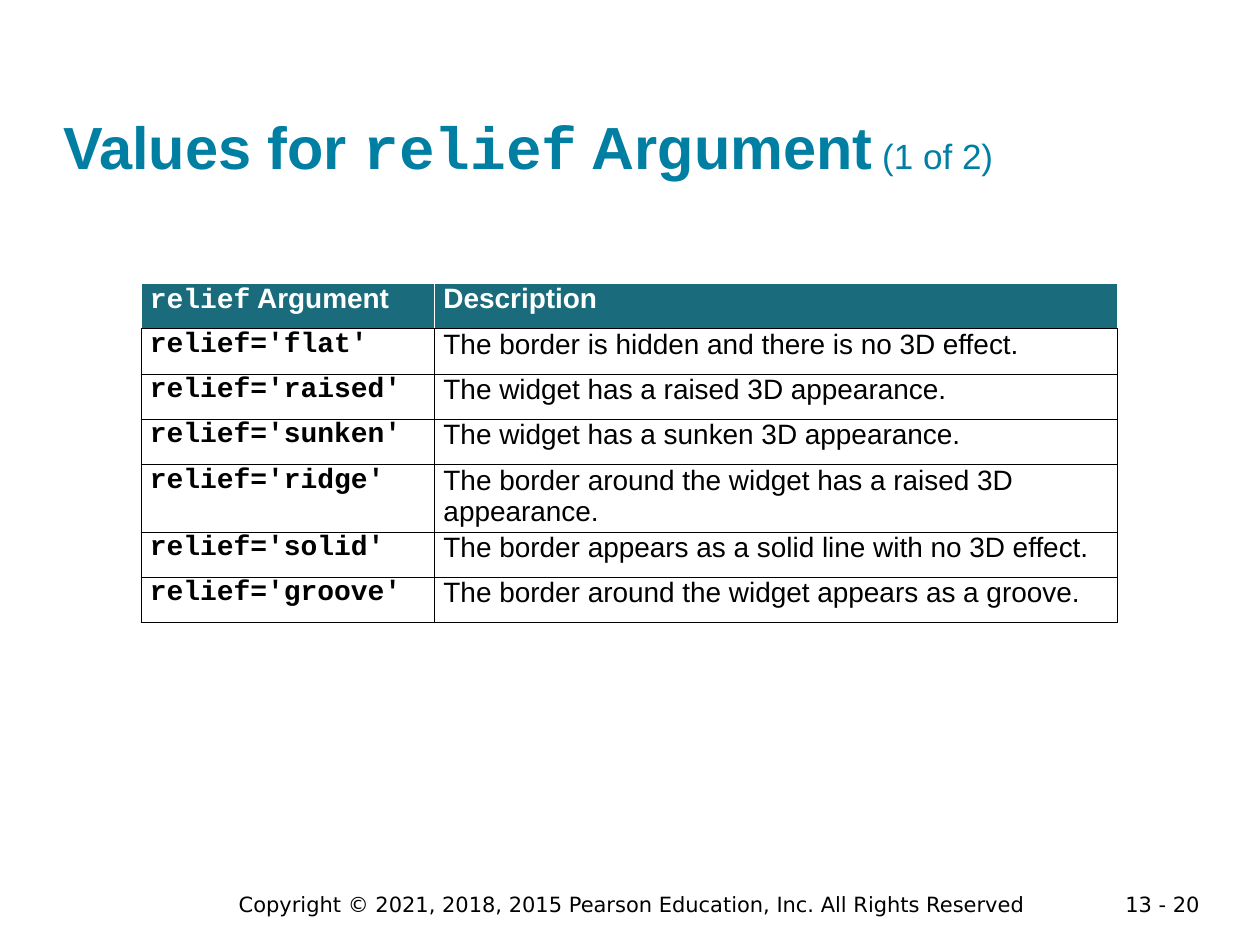
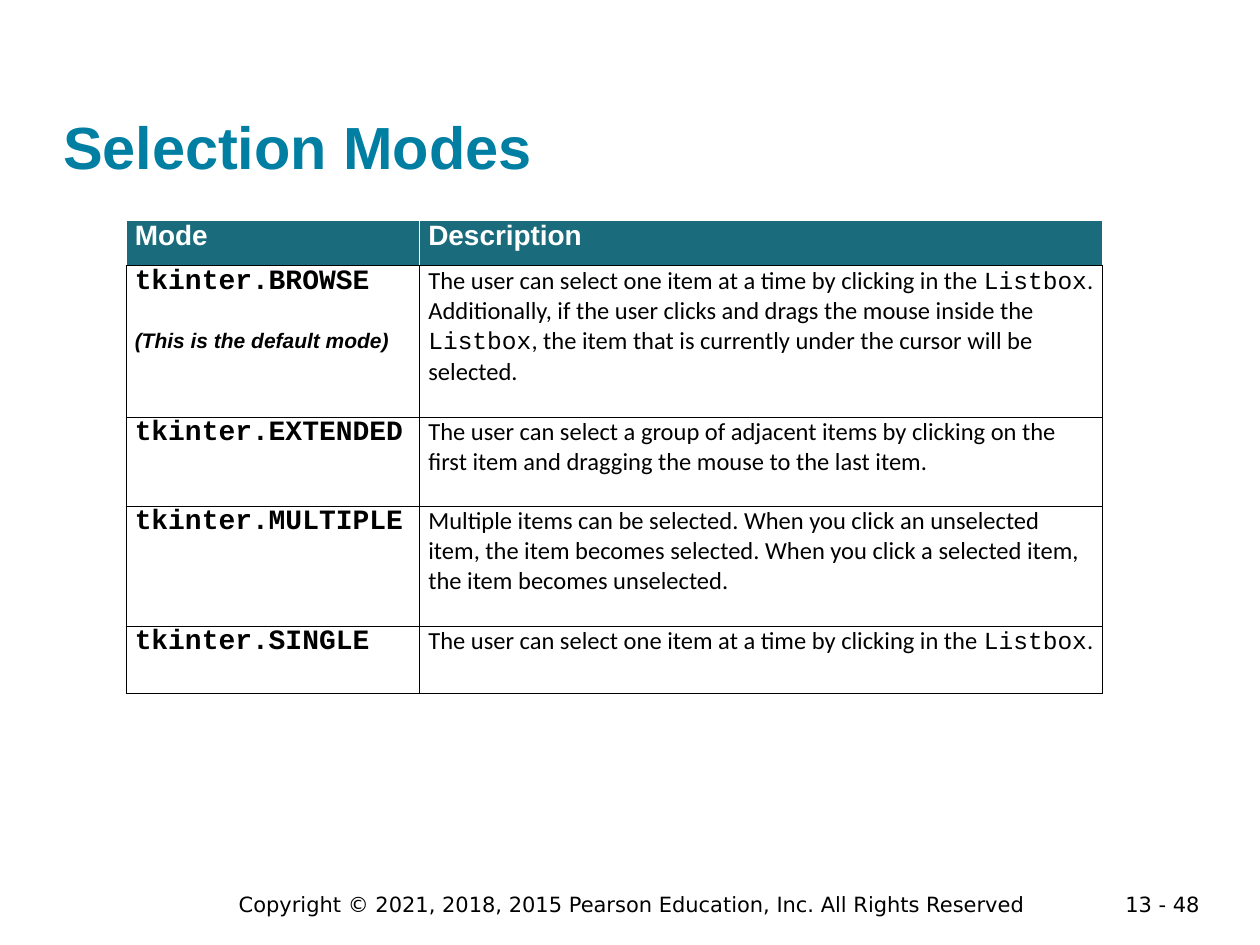
"""Two slides of reference tables for tkinter relief values and selection modes."""
import pptx
import pptx.util
import pptx.dml.color
import pptx.enum.text
import pptx.oxml
import pptx.oxml.ns

Inches, Pt = pptx.util.Inches, pptx.util.Pt
PP_ALIGN = pptx.enum.text.PP_ALIGN
ANCHOR = pptx.enum.text.MSO_ANCHOR

COLORS = {"title": "007FA3", "header": "1A6C7C", "white": "FFFFFF", "black": "000000"}
COPYRIGHT = "Copyright © 2021, 2018, 2015 Pearson Education, Inc. All Rights Reserved"
MONO = "Courier New"

TITLE = {"size": Pt(34), "name": "Arial", "bold": True, "color": "title"}
COUNT = {**TITLE, "size": Pt(20), "bold": False}
HEADER = {"size": Pt(16), "name": "Arial", "bold": True, "color": "white"}
CODE = {"size": Pt(16), "name": MONO, "bold": True, "color": "black"}
REMARK = {"size": Pt(12), "name": "Arial", "bold": True, "italic": True, "color": "black"}
ARIAL = {"size": Pt(16), "name": "Arial", "bold": False, "color": "black"}
CALIBRI = {**ARIAL, "size": Pt(14), "name": "Calibri"}
FOOTER = {**ARIAL, "size": Pt(12), "name": "DejaVu Sans"}

SLIDES = [
    {
        "title": "Values for `relief` Argument",
        "count": " (1 of 2)",
        "number": "13 - 20",
        "at": (1.12, 2.25),
        "heights": [0.36, 0.36, 0.36, 0.36, 0.53, 0.36, 0.36],
        "body": ARIAL,
        "rows": [
            ("`relief` Argument", "Description"),
            ("relief='flat'", "The border is hidden and there is no 3D effect."),
            ("relief='raised'", "The widget has a raised 3D appearance."),
            ("relief='sunken'", "The widget has a sunken 3D appearance."),
            ("relief='ridge'", "The border around the widget has a raised 3D appearance."),
            ("relief='solid'", "The border appears as a solid line with no 3D effect."),
            ("relief='groove'", "The border around the widget appears as a groove."),
        ],
        "remarks": {},
    },
    {
        "title": "Selection Modes",
        "count": "",
        "number": "13 - 48",
        "at": (1, 1.75),
        "heights": [0.36, 1.2, 0.71, 0.95, 0.53],
        "body": CALIBRI,
        "rows": [
            ("Mode", "Description"),
            ("tkinter.BROWSE",
             "The user can select one item at a time by clicking in the `Listbox`. "
             "Additionally, if the user clicks and drags the mouse inside the `Listbox`, "
             "the item that is currently under the cursor will be selected."),
            ("tkinter.EXTENDED",
             "The user can select a group of adjacent items by clicking on the first item "
             "and dragging the mouse to the last item."),
            ("tkinter.MULTIPLE",
             "Multiple items can be selected. When you click an unselected item, the item "
             "becomes selected. When you click a selected item, the item becomes unselected."),
            ("tkinter.SINGLE",
             "The user can select one item at a time by clicking in the `Listbox`."),
        ],
        "remarks": {"tkinter.BROWSE": "(This is the default mode)"},
    },
]


def add_runs(p, text, fmt):
    """Add text to a paragraph, with the parts between backticks in the code font."""
    for i, part in enumerate(text.split("`")):
        if not part:
            continue
        r = p.add_run()
        r.text = part
        for key, value in {**fmt, "name": MONO if i % 2 else fmt["name"]}.items():
            if key == "color":
                r.font.color.rgb = pptx.dml.color.RGBColor.from_string(COLORS[value])
            else:
                setattr(r.font, key, value)


def format_cell(cell, fill, sides, bottom):
    """Set margins, borders (colour, points) and fill of a table cell."""
    for key, value in {"margin_left": 0.07, "margin_right": 0.07,
                       "margin_top": 0, "margin_bottom": 0}.items():
        setattr(cell, key, Inches(value))
    tcPr = cell._tc.get_or_add_tcPr()
    for tag, (color, width) in {"lnL": sides, "lnR": sides, "lnT": sides, "lnB": bottom}.items():
        tcPr.append(pptx.oxml.parse_xml(
            f'<a:{tag} {pptx.oxml.ns.nsdecls("a")} w="{Pt(width)}"><a:solidFill>'
            f'<a:srgbClr val="{COLORS[color]}"/></a:solidFill></a:{tag}>'))
    cell.fill.solid()
    cell.fill.fore_color.rgb = pptx.dml.color.RGBColor.from_string(COLORS[fill])


prs = pptx.Presentation()
prs.slide_width, prs.slide_height = Inches(10), Inches(7.5)

for content in SLIDES:
    s = prs.slides.add_slide(prs.slide_layouts[5])

    sp = s.shapes.title
    for key, value in {"left": 0.5, "top": 0.24, "width": 9, "height": 1.2}.items():
        setattr(sp, key, Inches(value))
    tf = sp.text_frame
    for key, value in {"margin_left": 0, "margin_right": 0, "margin_top": 0,
                       "margin_bottom": 0, "vertical_anchor": ANCHOR.BOTTOM,
                       "word_wrap": True,
                       "auto_size": pptx.enum.text.MSO_AUTO_SIZE.NONE}.items():
        setattr(tf, key, value)
    p = tf.paragraphs[0]
    p.alignment = PP_ALIGN.LEFT
    add_runs(p, content["title"], TITLE)
    add_runs(p, content["count"], COUNT)

    for text, box, align in [(content["number"], (8.62, 7.03, 1, 0.22), PP_ALIGN.RIGHT),
                             (COPYRIGHT, (1.64, 7.03, 6.75, 0.3), PP_ALIGN.CENTER)]:
        tf = s.shapes.add_textbox(*map(Inches, box)).text_frame
        tf.word_wrap = True
        tf.paragraphs[0].alignment = align
        add_runs(tf.paragraphs[0], text, FOOTER)

    rows, heights = content["rows"], content["heights"]
    table = s.shapes.add_table(len(rows), 2, *map(Inches, content["at"]),
                               Inches(7.75), Inches(sum(heights))).table
    table.first_row = table.horz_banding = False
    for column, width in zip(table.columns, (2.33, 5.42)):
        column.width = Inches(width)
    for i, (row, height) in enumerate(zip(rows, heights)):
        table.rows[i].height = Inches(height)
        for j, text in enumerate(row):
            cell = table.cell(i, j)
            thin = ("black", 0.5)
            if i == 0:
                format_cell(cell, "header", ("white", 1), thin)
                fmt = HEADER
            else:
                format_cell(cell, "white", thin, thin)
                fmt = content["body"] if j else CODE
            tf = cell.text_frame
            add_runs(tf.paragraphs[0], text, fmt)
            if text in content["remarks"]:
                p = tf.add_paragraph()
                p.space_before = Pt(18)
                add_runs(p, content["remarks"][text], REMARK)

prs.save("out.pptx")
